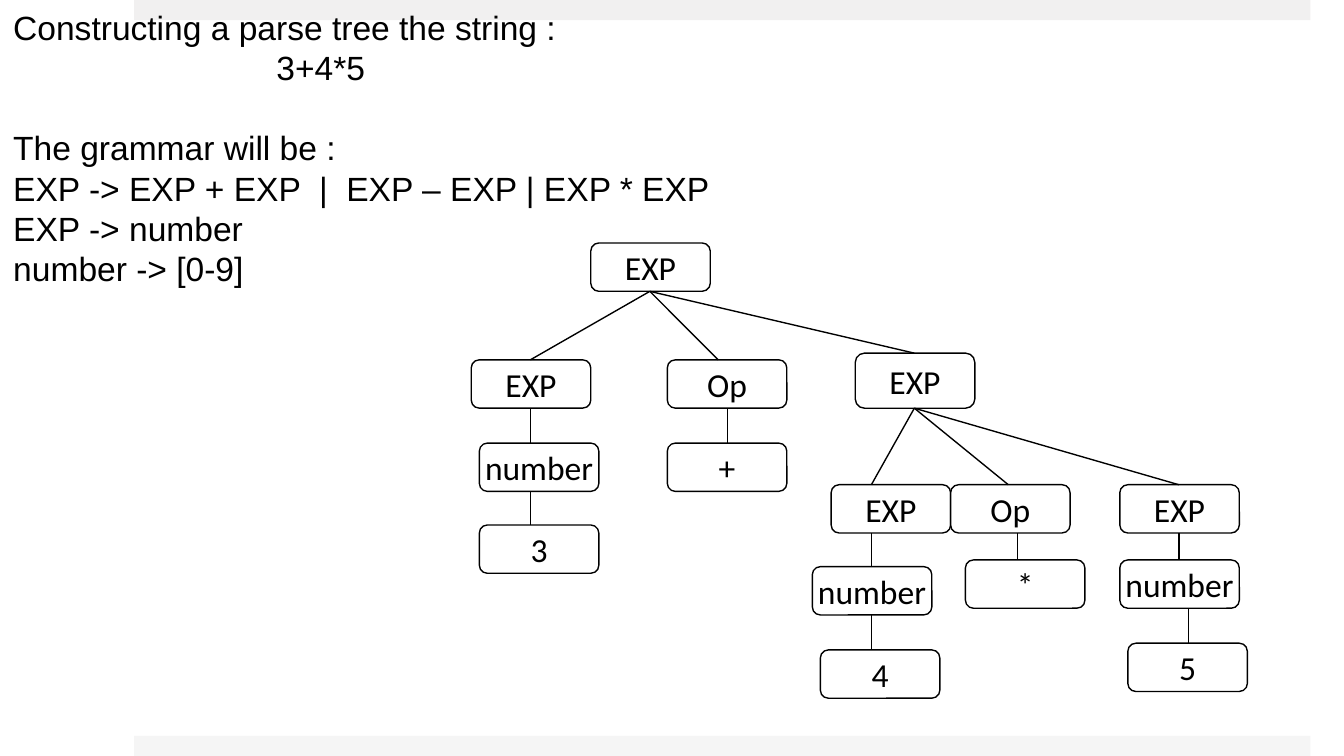
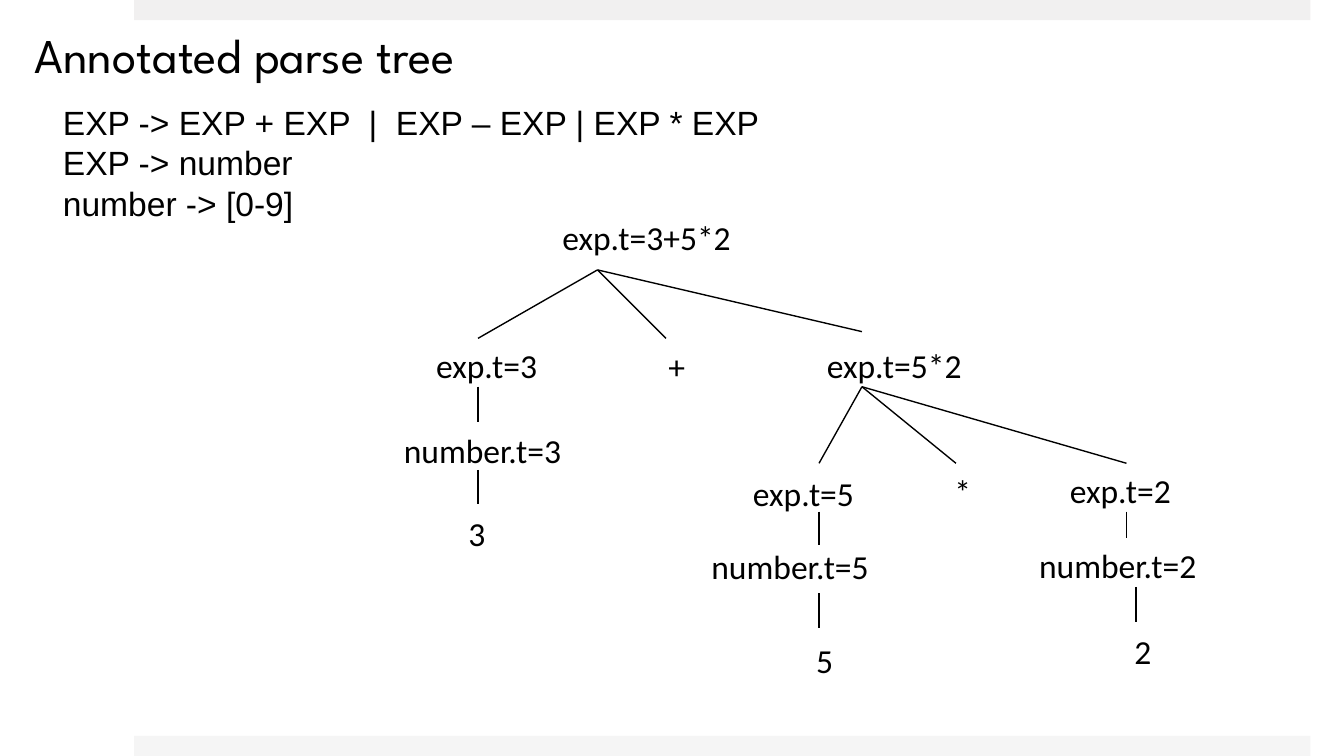
import pptx
import pptx.util
import pptx.dml.color
import pptx.enum.shapes
import pptx.enum.text
import pptx.oxml.ns
import lxml.etree

Inches = pptx.util.Inches
Pt = pptx.util.Pt

COLORS = {"ink": "000000", "paper": "FFFFFF", "top_band": "F1F0F0", "bottom_band": "F5F5F5"}
SLIDE_W, SLIDE_H = 10.01, 5.63
BAND_X, BAND_W, BAND_H = 1, 8.76, 0.15
NODE_W, NODE_H = 0.89, 0.36
LABEL_H = 0.4
GRAMMAR_LEADING = 21.6

GRAMMAR = [
    "EXP -> EXP + EXP  |  EXP – EXP | EXP * EXP",
    "EXP -> number",
    "number -> [0-9]",
]

FANS = [
    ((1.33, 0.36), [(0.44, 0.87), (1.84, 0.87), (3.3, 0.82)]),
    ((3.3, 1.23), [(2.98, 1.8), (4, 1.8), (5.27, 1.8)]),
]
STEMS = [
    (0.44, 1.23, 1.49), (0.44, 1.85, 2.1),
    (2.98, 2.16, 2.41), (2.98, 2.77, 3.03),
    (5.27, 2.16, 2.36), (5.34, 2.72, 2.98),
]
OPERATOR_STEMS = [(1.91, 1.23, 1.49), (4.07, 2.16, 2.36)]

PARSE_NODES = [
    ("EXP", 0.89, 0, NODE_H),
    ("EXP", 0, 0.87, NODE_H), ("Op", 1.46, 0.87, NODE_H), ("EXP", 2.86, 0.82, 0.41),
    ("number", 0.06, 1.49, NODE_H), ("3", 0.06, 2.1, NODE_H), ("+", 1.46, 1.49, NODE_H),
    ("EXP", 2.68, 1.8, NODE_H), ("Op", 3.57, 1.8, NODE_H), ("EXP", 4.83, 1.8, NODE_H),
    ("number", 2.54, 2.41, NODE_H), ("*", 3.68, 2.36, NODE_H), ("number", 4.83, 2.36, NODE_H),
    ("4", 2.6, 3.03, NODE_H), ("5", 4.89, 2.98, NODE_H),
]
ANNOTATIONS = [
    ("exp.t=3+5*2", 0.97, -0.08, 1.97),
    ("exp.t=3", 0.03, 0.87, 1.26), ("+", 1.76, 0.88, 0.31), ("exp.t=5*2", 2.94, 0.87, 2.05),
    ("number.t=3", -0.21, 1.5, 1.73), ("3", 0.27, 2.12, 0.39),
    ("exp.t=5", 2.39, 1.82, 1.26), ("*", 3.89, 1.81, 0.31), ("exp.t=2", 4.75, 1.8, 1.34),
    ("number.t=5", 2.08, 2.37, 1.81), ("number.t=2", 4.52, 2.36, 1.81),
    ("5", 2.86, 3.07, 0.39), ("2", 5.23, 3, 0.39),
]


def rgb(name):
    return pptx.dml.color.RGBColor.from_string(COLORS[name])


def style(paragraph, font, size=18):
    paragraph.font.name = font
    paragraph.font.size = Pt(size)
    paragraph.font.color.rgb = rgb("ink")


def add_box(slide, kind, x, y, w, h, fill):
    box = slide.shapes.add_shape(kind, Inches(x), Inches(y), Inches(w), Inches(h))
    box.shadow.inherit = False
    box.fill.solid()
    box.fill.fore_color.rgb = rgb(fill)
    box.line.fill.background()
    return box


def add_text(slide, lines, x, y, w, h, font, size=18):
    frame = slide.shapes.add_textbox(Inches(x), Inches(y), Inches(w), Inches(h)).text_frame
    frame.word_wrap = True
    frame.text = "\n".join(lines)
    for paragraph in frame.paragraphs:
        style(paragraph, font, size)
    return frame.paragraphs


def add_grammar(slide, lines, x, y, w, h):
    paragraphs = add_text(slide, lines, x, y, w, h, "Arial")
    for paragraph in paragraphs:
        paragraph.line_spacing = Pt(GRAMMAR_LEADING)
    return paragraphs


def add_branch(slide, start, end):
    ends = [Inches(v) for v in (*start, *end)]
    branch = slide.shapes.add_connector(pptx.enum.shapes.MSO_CONNECTOR.STRAIGHT, *ends)
    branch.line.color.rgb = rgb("ink")
    branch.line.width = Pt(0.75)
    lxml.etree.SubElement(branch._element.spPr, pptx.oxml.ns.qn("a:effectLst"))


def add_branches(slide, x, y, stems):
    for (px, py), children in FANS:
        for cx, cy in children:
            add_branch(slide, (x + px, y + py), (x + cx, y + cy))
    for sx, top, bottom in stems:
        add_branch(slide, (x + sx, y + top), (x + sx, y + bottom))


def add_node(slide, text, x, y, h):
    node = add_box(slide, pptx.enum.shapes.MSO_SHAPE.ROUNDED_RECTANGLE, x, y, NODE_W, h, "paper")
    node.line.color.rgb = rgb("ink")
    node.line.width = Pt(0.75)
    frame = node.text_frame
    frame.word_wrap = False
    frame.vertical_anchor = pptx.enum.text.MSO_ANCHOR.MIDDLE
    frame.text = text
    frame.paragraphs[0].alignment = pptx.enum.text.PP_ALIGN.CENTER
    style(frame.paragraphs[0], "Calibri")


def add_parse_tree(slide, x, y):
    for text, dx, dy, h in PARSE_NODES:
        add_node(slide, text, x + dx, y + dy, h)
    add_branches(slide, x, y, STEMS + OPERATOR_STEMS)


def add_annotated_tree(slide, x, y):
    add_branches(slide, x, y, STEMS)
    for text, dx, dy, w in ANNOTATIONS:
        add_text(slide, [text], x + dx, y + dy, w, LABEL_H, "Calibri")


def new_slide(deck):
    slide = deck.slides.add_slide(deck.slide_layouts[6])
    for y, fill in ((0, "top_band"), (SLIDE_H - BAND_H, "bottom_band")):
        add_box(slide, pptx.enum.shapes.MSO_SHAPE.RECTANGLE, BAND_X, y, BAND_W, BAND_H, fill)
    return slide


def parse_tree_slide(deck):
    slide = new_slide(deck)
    intro = ["Constructing a parse tree the string :", "3+4*5", "The grammar will be :"]
    paragraphs = add_grammar(slide, intro + GRAMMAR, 0, 0, SLIDE_W, 2.2)
    expression, heading = paragraphs[1:3]
    expression._p.get_or_add_pPr().set("marL", str(Inches(1.96)))
    heading.space_before = Pt(GRAMMAR_LEADING)
    add_parse_tree(slide, 3.51, 1.81)


def annotated_tree_slide(deck):
    slide = new_slide(deck)
    title = add_text(slide, ["Annotated parse tree"], 0.16, 0.16, 9.76, 0.72, "League Spartan", 26)
    title[0].line_spacing = 0.97
    add_grammar(slide, GRAMMAR, 0.37, 0.71, 5.45, 1)
    add_annotated_tree(slide, 3.12, 1.65)


def main():
    deck = pptx.Presentation()
    deck.slide_width = Inches(SLIDE_W)
    deck.slide_height = Inches(SLIDE_H)
    parse_tree_slide(deck)
    annotated_tree_slide(deck)
    deck.save("out.pptx")


if __name__ == "__main__":
    main()
